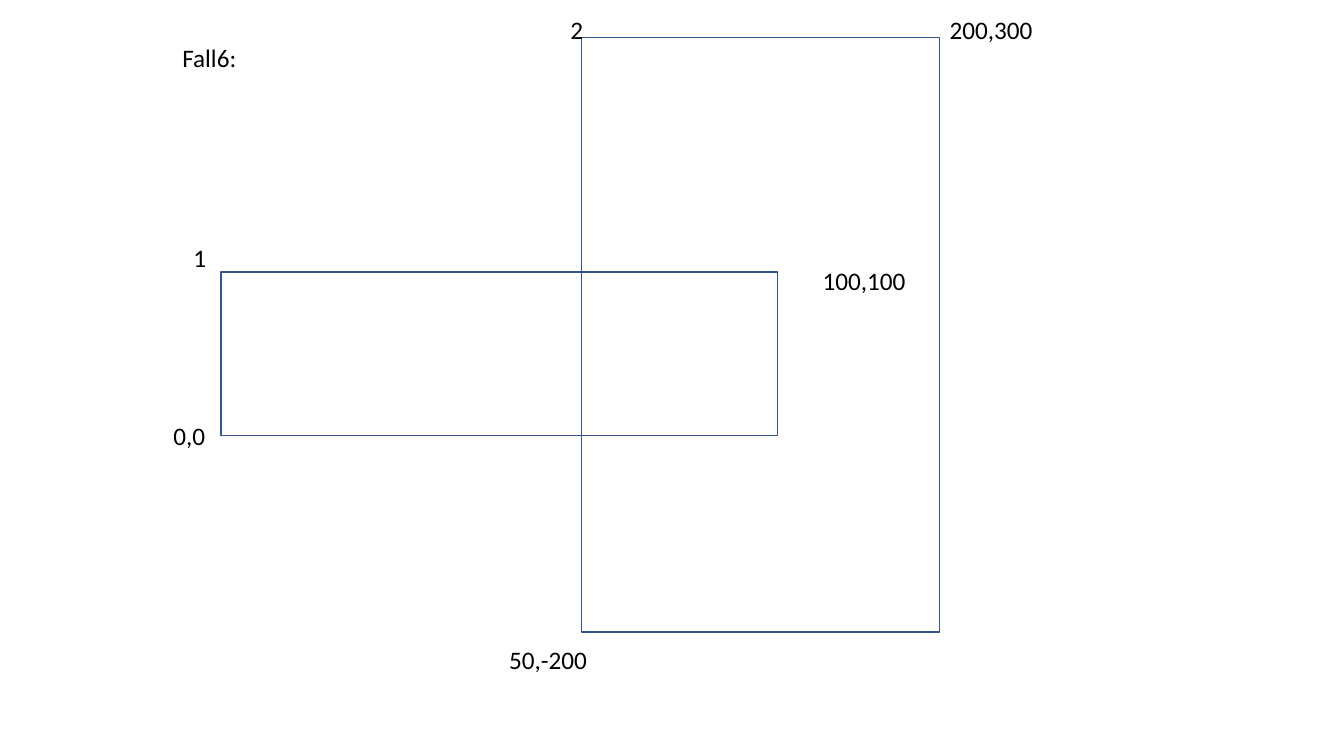
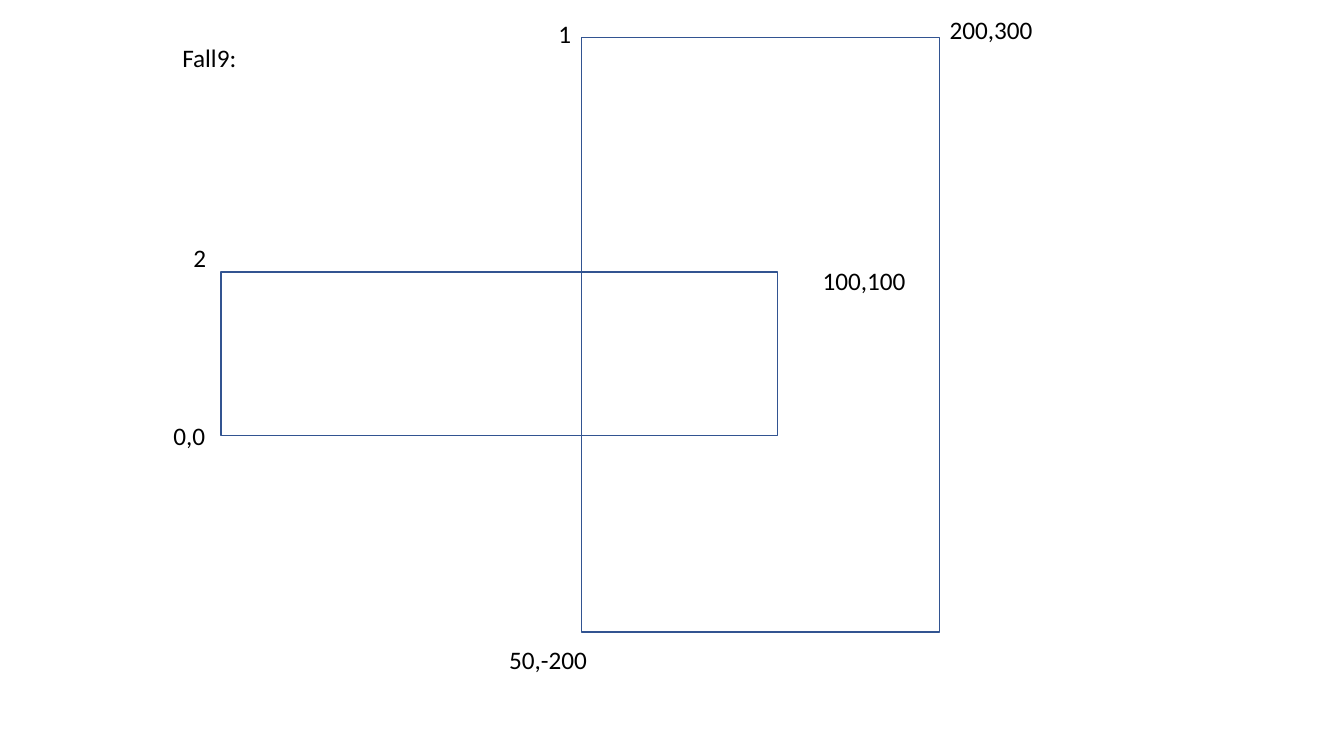
"""Build two slides showing cases of overlapping rectangles with corner coordinates."""
import dataclasses

import pptx
import pptx.dml.color
import pptx.enum.shapes
import pptx.enum.text
import pptx.util

Inches = pptx.util.Inches
Color = pptx.dml.color.RGBColor

RECTANGLES = [
    (2.19, 2.7, 5.52, 1.62),
    (5.77, 0.37, 3.55, 5.9),
]
CORNER_LABELS = [
    ("0,0", 1.62, 4.12, 0.52),
    ("100,100", 8.06, 2.58, 1.03),
    ("200,300", 9.32, 0.09, 1.03),
    ("50,-200", 4.95, 6.34, 0.98),
]
CASES = [
    [("Fall6:", 1.71, 0.37, 0.74), ("1", 1.82, 2.36, 0.33), ("2", 5.56, 0.09, 0.33)],
    [("Fall9:", 1.71, 0.37, 0.74), ("2", 1.82, 2.36, 0.33), ("1", 5.44, 0.13, 0.33)],
]


@dataclasses.dataclass(frozen=True)
class Theme:
    font: str = "Calibri"
    text_size: int = 18
    text_color: str = "000000"
    outline_color: str = "325491"
    outline_width: int = 1
    label_height: float = 0.4


THEME = Theme()


def add_rectangle(slide, left, top, width, height):
    shape = slide.shapes.add_shape(
        pptx.enum.shapes.MSO_SHAPE.RECTANGLE,
        Inches(left), Inches(top), Inches(width), Inches(height),
    )
    shape.shadow.inherit = False
    shape.fill.background()
    shape.line.color.rgb = Color.from_string(THEME.outline_color)
    shape.line.width = pptx.util.Pt(THEME.outline_width)


def add_label(slide, text, left, top, width):
    box = slide.shapes.add_textbox(
        Inches(left), Inches(top), Inches(width), Inches(THEME.label_height)
    )
    text_frame = box.text_frame
    text_frame.text = text
    text_frame.word_wrap = False
    text_frame.auto_size = pptx.enum.text.MSO_AUTO_SIZE.SHAPE_TO_FIT_TEXT
    font = text_frame.paragraphs[0].runs[0].font
    font.name = THEME.font
    font.size = pptx.util.Pt(THEME.text_size)
    font.color.rgb = Color.from_string(THEME.text_color)


presentation = pptx.Presentation()
presentation.slide_width = Inches(13.33)
presentation.slide_height = Inches(7.5)
blank_layout = presentation.slide_layouts[6]

for case_labels in CASES:
    slide = presentation.slides.add_slide(blank_layout)
    for rectangle in RECTANGLES:
        add_rectangle(slide, *rectangle)
    for label in CORNER_LABELS + case_labels:
        add_label(slide, *label)

presentation.save("out.pptx")
